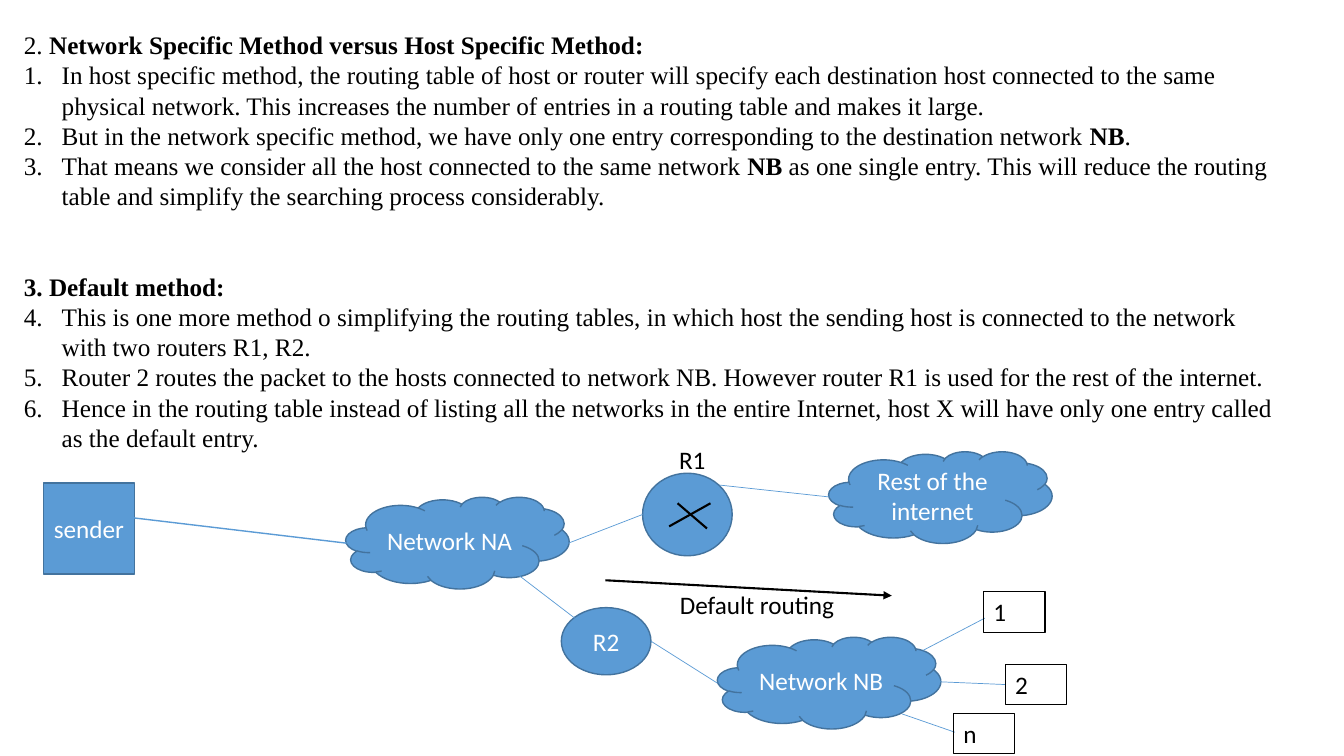
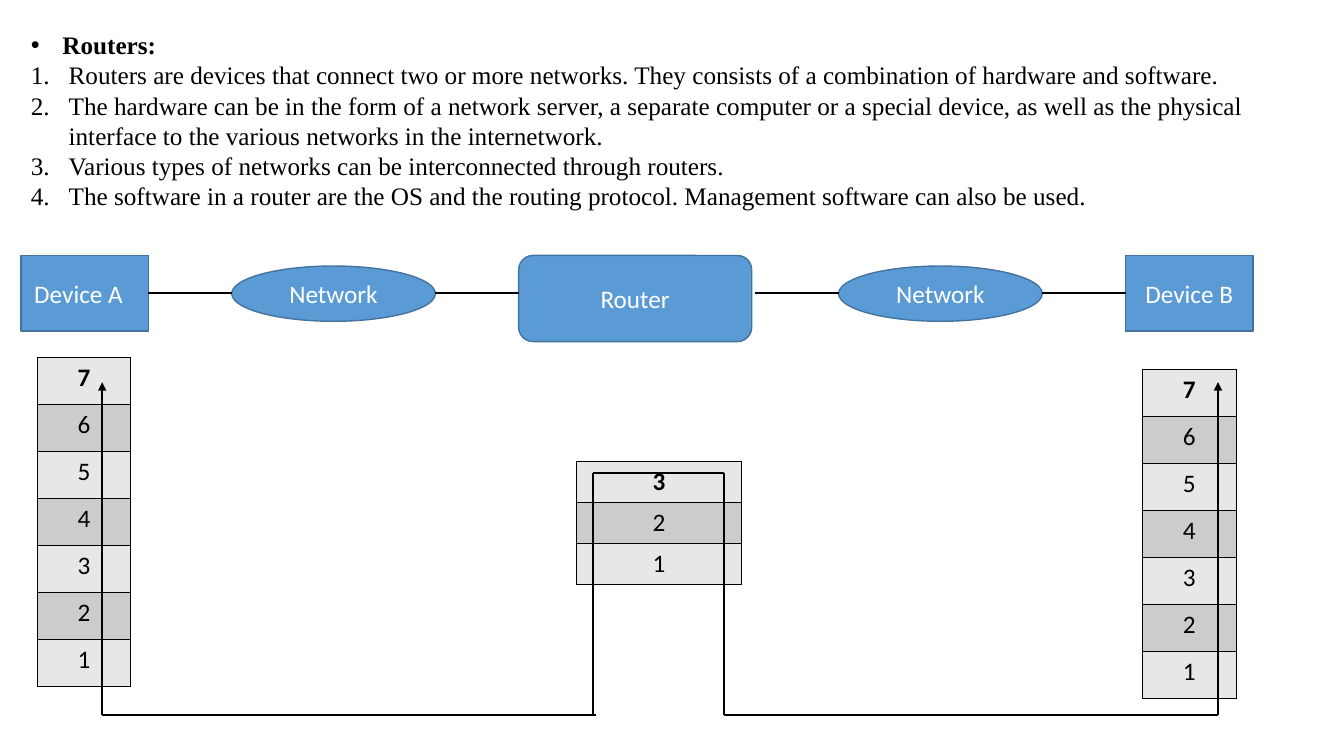
from lxml import etree
from pptx import Presentation
from pptx.dml.color import RGBColor
from pptx.enum.shapes import MSO_CONNECTOR, MSO_SHAPE as SHAPE
from pptx.enum.text import MSO_ANCHOR as ANCHOR, PP_ALIGN as ALIGN
from pptx.oxml.ns import qn
from pptx.util import Pt

BLUE, BLUE_EDGE, BLACK, WHITE = "5B9BD5", "43739E", "000000", "FFFFFF"
ROW_FILLS = ("E7E7E7", "CCCCCC")
SERIF, SANS, SIZE = "Times New Roman", "Calibri", 18
NUMBER_INDENT, BULLET_INDENT = 27, 22.5

ROUTING_NOTES = [
    ("heading", "2. **Network Specific Method versus Host Specific Method:**"),
    (1, "In host specific method, the routing table of host or router will specify each destination host "
        "connected to the same physical network. This increases the number of entries in a routing table "
        "and makes it large."),
    (1, "But in the network specific method, we have only one entry corresponding to the destination "
        "network **NB**."),
    (1, "That means we consider all the host connected to the same network **NB** as one single entry. "
        "This will reduce the routing table and simplify the searching process considerably."),
    ("heading", "**3. Default method:**"),
    (4, "This is one more method o simplifying the routing tables, in which host the sending host is "
        "connected to the network with two routers R1, R2."),
    (4, "Router 2 routes the packet to the hosts connected to network NB. However router R1 is used for "
        "the rest of the internet."),
    (4, "Hence in the routing table instead of listing all the networks in the entire Internet, host X "
        "will have only one entry called as the default entry."),
]
ROUTER_NOTES = [
    ("bullet", "**Routers:**"),
    (1, "Routers are devices that connect two or more networks. They consists of a combination of "
        "hardware and software."),
    (1, "The hardware can be in the form of a network server, a separate computer or a special device, "
        "as well as the physical interface to the various networks in the internetwork."),
    (1, "Various types of networks can be interconnected through routers."),
    (1, "The software in a router are the OS and the routing protocol. Management software can also be used."),
]

CLOUD_SIZE = (159.5, 65.5)
ROUTING_NODES = [
    (SHAPE.RECTANGLE, "sender", (31, 345, 65, 65)),
    (SHAPE.CLOUD, "Network NA", (247, 355, *CLOUD_SIZE)),
    (SHAPE.CLOUD, "Network NB", (512.5, 455, *CLOUD_SIZE)),
    (SHAPE.CLOUD, "Rest of the internet", (592, 322.5, *CLOUD_SIZE)),
    (SHAPE.OVAL, "", (459, 338, 64, 59)),
    (SHAPE.OVAL, "R2", (401, 434, 64, 48)),
]
SENDER_LINK = ((92, 369.5), (247.5, 388))
NETWORK_LINKS = [
    ((406, 388), (459, 367.5)),
    ((514, 346.5), (592.5, 355)),
    ((370, 410.5), (410.5, 441.5)),
    ((465, 458), (512.5, 488)),
    ((659.5, 464.5), (703.5, 441.5)),
    ((671, 487), (718.5, 489)),
    ((644.5, 510), (682, 523)),
]
ROUTER_CROSS = [((478, 376), (507.5, 359.5)), ((484, 359.5), (505, 377.5))]
DEFAULT_ROUTE = ((432.5, 414.5), (637, 425.5))
ROUTE_LABELS = [("R1", (478, 314, 44, 29)), ("Default routing", (478.5, 417.5, 135, 29))]
HOSTS = [("1", (702.5, 422.5)), ("2", (718, 474.5)), ("n", (681, 509.5))]
HOST_SIZE = (44, 29)

DEVICE_SIZE, NETWORK_SIZE = (91, 54), (145.5, 39.5)
DEVICE_TOP, NETWORK_TOP = 182.5, 190
DEVICE_NODES = [
    (SHAPE.RECTANGLE, "Device A\t", (15, DEVICE_TOP, *DEVICE_SIZE)),
    (SHAPE.RECTANGLE, "Device B", (804, DEVICE_TOP, *DEVICE_SIZE)),
    (SHAPE.OVAL, "Network", (165.5, NETWORK_TOP, *NETWORK_SIZE)),
    (SHAPE.OVAL, "Network", (599, NETWORK_TOP, *NETWORK_SIZE)),
    (SHAPE.ROUNDED_RECTANGLE, "Router", (370.5, DEVICE_TOP, 166.5, 61.5)),
]
WIRE_STARTS, WIRE_LENGTH, WIRE_Y = (106, 311, 539.5, 744.5), 59.5, 209.5
LAYER_STACKS = [
    (7, (26.5, 255.5, 67, 33.6)),
    (7, (816, 264, 67, 33.6)),
    (3, (412, 329.5, 117.5, 29.3)),
]
PATH_BOTTOM, PATH_TOP, ROUTER_LAYER = 510.5, 273, 338
A_X, ROUTER_IN, ROUTER_OUT, B_X = 73, 423.5, 517, 870
DATA_PATH = [
    ((A_X, PATH_BOTTOM), (ROUTER_IN + 2, PATH_BOTTOM)),
    ((ROUTER_IN, PATH_BOTTOM), (ROUTER_IN, ROUTER_LAYER)),
    ((ROUTER_IN, ROUTER_LAYER), (ROUTER_OUT, ROUTER_LAYER)),
    ((ROUTER_OUT, PATH_BOTTOM), (ROUTER_OUT, ROUTER_LAYER)),
    ((ROUTER_OUT, PATH_BOTTOM), (B_X, PATH_BOTTOM)),
]


def color(value):
    return RGBColor.from_string(value)


def points(values):
    return [Pt(value) for value in values]


def set_font(font, name=SANS, ink=BLACK):
    font.name, font.size = name, Pt(SIZE)
    font.color.rgb = color(ink)


def add_marker(paragraph, kind):
    indent = BULLET_INDENT if kind == "bullet" else NUMBER_INDENT
    props = paragraph._p.get_or_add_pPr()
    props.set("marL", str(Pt(indent)))
    props.set("indent", str(-Pt(indent)))
    if kind == "bullet":
        etree.SubElement(props, qn("a:buFont"), typeface="Arial")
        etree.SubElement(props, qn("a:buChar"), char="•")
    else:
        etree.SubElement(props, qn("a:buAutoNum"), type="arabicPeriod", startAt=str(kind))


def add_notes(slide, notes, box):
    frame = slide.shapes.add_textbox(*points(box)).text_frame
    frame.word_wrap = True
    for index, (kind, text) in enumerate(notes):
        paragraph = frame.add_paragraph() if index else frame.paragraphs[0]
        if kind != "heading":
            add_marker(paragraph, kind)
        elif index:
            paragraph.space_before = Pt(43)
        set_font(paragraph.font, SERIF)
        for part, words in enumerate(text.split("**")):
            if words:
                run = paragraph.add_run()
                run.text = words
                run.font.bold = part % 2 == 1


def add_label(slide, text, box, outlined=False):
    label = slide.shapes.add_textbox(*points(box))
    if outlined:
        label.line.color.rgb = color(BLACK)
        label.line.width = Pt(0.75)
    label.text_frame.word_wrap = True
    paragraph = label.text_frame.paragraphs[0]
    paragraph.text = text
    set_font(paragraph.font)


def add_node(slide, outline, text, box):
    node = slide.shapes.add_shape(outline, *points(box))
    node.shadow.inherit = False
    node.fill.solid()
    node.fill.fore_color.rgb = color(BLUE)
    node.line.color.rgb = color(BLUE_EDGE)
    node.line.width = Pt(1)
    node.text_frame.vertical_anchor = ANCHOR.MIDDLE
    paragraph = node.text_frame.paragraphs[0]
    paragraph.text = text
    paragraph.alignment = ALIGN.CENTER
    set_font(paragraph.font, ink=WHITE)


def add_line(slide, ends, ink=BLACK, width=1.5, arrow=False):
    start, end = ends
    link = slide.shapes.add_connector(MSO_CONNECTOR.STRAIGHT, *points(start + end))
    link.line.color.rgb = color(ink)
    link.line.width = Pt(width)
    if arrow:
        etree.SubElement(link.line._get_or_add_ln(), qn("a:tailEnd"), type="triangle")
    etree.SubElement(link._element.spPr, qn("a:effectLst"))


def add_borders(cell):
    props = cell._tc.get_or_add_tcPr()
    for index, side in enumerate(("lnL", "lnR", "lnT", "lnB")):
        border = etree.Element(qn(f"a:{side}"), w=str(Pt(1)))
        fill = etree.SubElement(border, qn("a:solidFill"))
        etree.SubElement(fill, qn("a:srgbClr"), val=BLACK)
        props.insert(index, border)


def add_layers(slide, count, place):
    left, top, width, row_height = place
    box = points((left, top, width, row_height * count))
    table = slide.shapes.add_table(count, 1, *box).table
    for index in range(count):
        table.rows[index].height = Pt(row_height)
        cell = table.cell(index, 0)
        cell.fill.solid()
        cell.fill.fore_color.rgb = color(ROW_FILLS[index % 2])
        add_borders(cell)
        paragraph = cell.text_frame.paragraphs[0]
        paragraph.text = str(count - index)
        paragraph.alignment = ALIGN.CENTER
        set_font(paragraph.font)
        paragraph.font.bold = index == 0


def build_routing(slide):
    add_notes(slide, ROUTING_NOTES, (10, 17.5, 911.5, 312.5))
    for node in ROUTING_NODES:
        add_node(slide, *node)
    add_line(slide, SENDER_LINK, BLUE, 1)
    for link in NETWORK_LINKS:
        add_line(slide, link, BLUE, 0.5)
    for stroke in ROUTER_CROSS:
        add_line(slide, stroke)
    add_line(slide, DEFAULT_ROUTE, arrow=True)
    for text, box in ROUTE_LABELS:
        add_label(slide, text, box)
    for text, corner in HOSTS:
        add_label(slide, text, corner + HOST_SIZE, outlined=True)


def build_routers(slide):
    add_notes(slide, ROUTER_NOTES, (15, 17.5, 899.5, 138))
    for node in DEVICE_NODES:
        add_node(slide, *node)
    for start in WIRE_STARTS:
        add_line(slide, ((start, WIRE_Y), (start + WIRE_LENGTH, WIRE_Y)))
    for count, place in LAYER_STACKS:
        add_layers(slide, count, place)
    for segment in DATA_PATH:
        add_line(slide, segment)
    for x in (A_X, B_X):
        add_line(slide, ((x, PATH_BOTTOM), (x, PATH_TOP)), arrow=True)


def main():
    deck = Presentation()
    deck.slide_width, deck.slide_height = Pt(960), Pt(540)
    for build in (build_routing, build_routers):
        build(deck.slides.add_slide(deck.slide_layouts[6]))
    deck.save("out.pptx")


if __name__ == "__main__":
    main()
